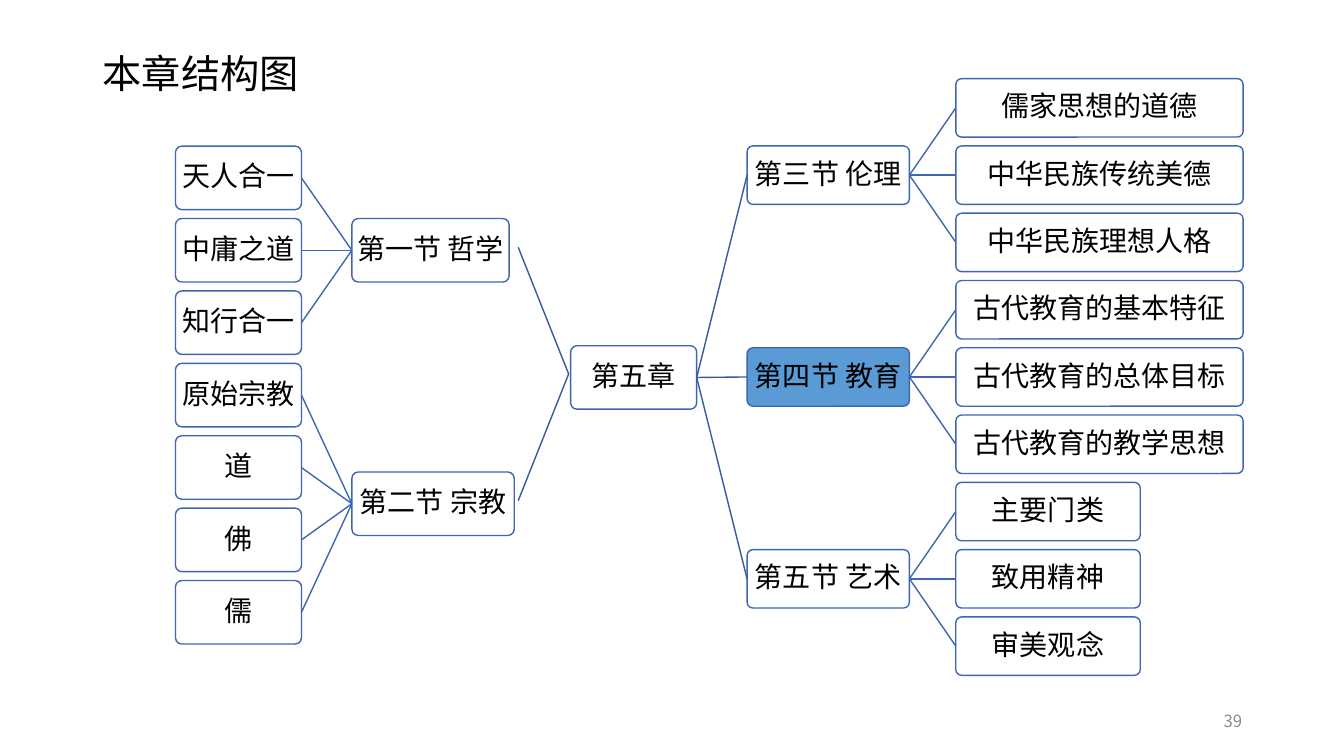
from lxml import etree
from pptx import Presentation
from pptx.dml.color import RGBColor
from pptx.enum import shapes, text
from pptx.oxml import ns
from pptx.util import Inches, Pt

FONT = "Noto Sans CJK SC"
BLACK = RGBColor(0, 0, 0)
WHITE = RGBColor(255, 255, 255)
GRAY = RGBColor(0x8C, 0x8C, 0x8C)
BLUE = RGBColor(0x3E, 0x67, 0xB2)
DARK_BLUE = RGBColor(0x36, 0x5B, 0x9D)
HIGHLIGHT = RGBColor(0x5B, 0x9B, 0xD5)

TITLE = "本章结构图"
PAGE_NUMBER = "39"
CHAPTER = "第五章"
CURRENT = "第四节 教育"
LEFT_SECTIONS = [
    ("第一节 哲学", 1.56, 1.25, ["天人合一", "中庸之道", "知行合一"]),
    ("第二节 宗教", 1.61, 1.25, ["原始宗教", "道", "佛", "儒"]),
]
RIGHT_SECTIONS = [
    ("第三节 伦理", 1.61, 2.85, ["儒家思想的道德", "中华民族传统美德", "中华民族理想人格"]),
    (CURRENT, 1.61, 2.85, ["古代教育的基本特征", "古代教育的总体目标", "古代教育的教学思想"]),
    ("第五节 艺术", 1.61, 1.83, ["主要门类", "致用精神", "审美观念"]),
]
LEFT_SIDE = dict(section_x=3.49, topic_x=1.74, first=1.45, last=5.76, height=0.63, near=3, far=1)
RIGHT_SIDE = dict(section_x=7.41, topic_x=9.48, first=0.78, last=6.12, height=0.58, near=1, far=3)
LEFT_JOINT = (5.64, 3.71)
LEFT_TRUNK_X = 5.14


def write(frame, words, size, color=BLACK, align=text.PP_ALIGN.LEFT, spacing=0.9, inset=None):
    """Put one formatted line of text into a text frame."""
    frame.word_wrap = True
    frame.vertical_anchor = text.MSO_ANCHOR.MIDDLE
    if inset is not None:
        frame.margin_left = frame.margin_right = Inches(inset)
        frame.margin_top = frame.margin_bottom = Inches(inset)
    para = frame.paragraphs[0]
    para.alignment = align
    para.line_spacing = spacing
    span = para.add_run()
    span.text = words
    span.font.size = Pt(size)
    span.font.color.rgb = color
    span.font.name = FONT
    east_asian = etree.SubElement(span.font._element, ns.qn("a:ea"))
    east_asian.set("typeface", FONT)


def add_box(page, words, left, top, width, height):
    """Add one rounded box of the tree."""
    box = page.shapes.add_shape(shapes.MSO_SHAPE.ROUNDED_RECTANGLE,
                                Inches(left), Inches(top), Inches(width), Inches(height))
    box.adjustments[0] = 0.1
    box.shadow.inherit = False
    box.fill.solid()
    box.fill.fore_color.rgb = HIGHLIGHT if words == CURRENT else WHITE
    box.line.color.rgb = BLUE
    box.line.width = Pt(1)
    write(box.text_frame, words, 20, align=text.PP_ALIGN.CENTER, inset=0.03)
    return box


def add_line(page, color, start=(0, 0), end=(0, 0)):
    """Add a thin straight line without a shadow."""
    line = page.shapes.add_connector(shapes.MSO_CONNECTOR.STRAIGHT,
                                     *[Inches(value) for value in (*start, *end)])
    line.line.color.rgb = color
    line.line.width = Pt(1)
    etree.SubElement(line._element.spPr, ns.qn("a:effectLst"))
    return line


def join(page, color, parent, parent_side, child, child_side):
    """Connect the side middles of two boxes."""
    line = add_line(page, color)
    line.begin_connect(parent, parent_side)
    line.end_connect(child, child_side)


def add_side(page, sections, section_x, topic_x, first, last, height, near, far):
    """Draw evenly spaced topics with each section centred on its own."""
    pitch = (last - first) / (sum(len(topics) for *_, topics in sections) - 1)
    section_boxes = []
    top = first
    for name, section_width, topic_width, topics in sections:
        section_top = top + pitch * (len(topics) - 1) / 2
        section = add_box(page, name, section_x, section_top, section_width, height)
        section_boxes.append(section)
        for topic in topics:
            box = add_box(page, topic, topic_x, top, topic_width, height)
            join(page, BLUE, section, far, box, near)
            top += pitch
    return section_boxes


def main():
    """Build the chapter structure slide."""
    deck = Presentation()
    deck.slide_width, deck.slide_height = Inches(13.33), Inches(7.5)
    page = deck.slides.add_slide(deck.slide_layouts[5])

    title = page.shapes.title
    title.left, title.top = Inches(0.92), Inches(0.4)
    title.width, title.height = Inches(11.5), Inches(0.71)
    write(title.text_frame, TITLE, 28)

    chapter = add_box(page, CHAPTER, 5.66, 3.43, 1.25, 0.63)
    for section in add_side(page, LEFT_SECTIONS, **LEFT_SIDE):
        middle = (section.top + section.height / 2) / Inches(1)
        add_line(page, DARK_BLUE, LEFT_JOINT, (LEFT_TRUNK_X, middle - 0.03))
    for section in add_side(page, RIGHT_SECTIONS, **RIGHT_SIDE):
        join(page, DARK_BLUE, chapter, 3, section, RIGHT_SIDE["near"])

    number = page.shapes.add_textbox(Inches(9.42), Inches(6.95), Inches(3), Inches(0.4))
    write(number.text_frame, PAGE_NUMBER, 12, color=GRAY, align=text.PP_ALIGN.RIGHT, spacing=1.0)
    deck.save("out.pptx")


if __name__ == "__main__":
    main()
